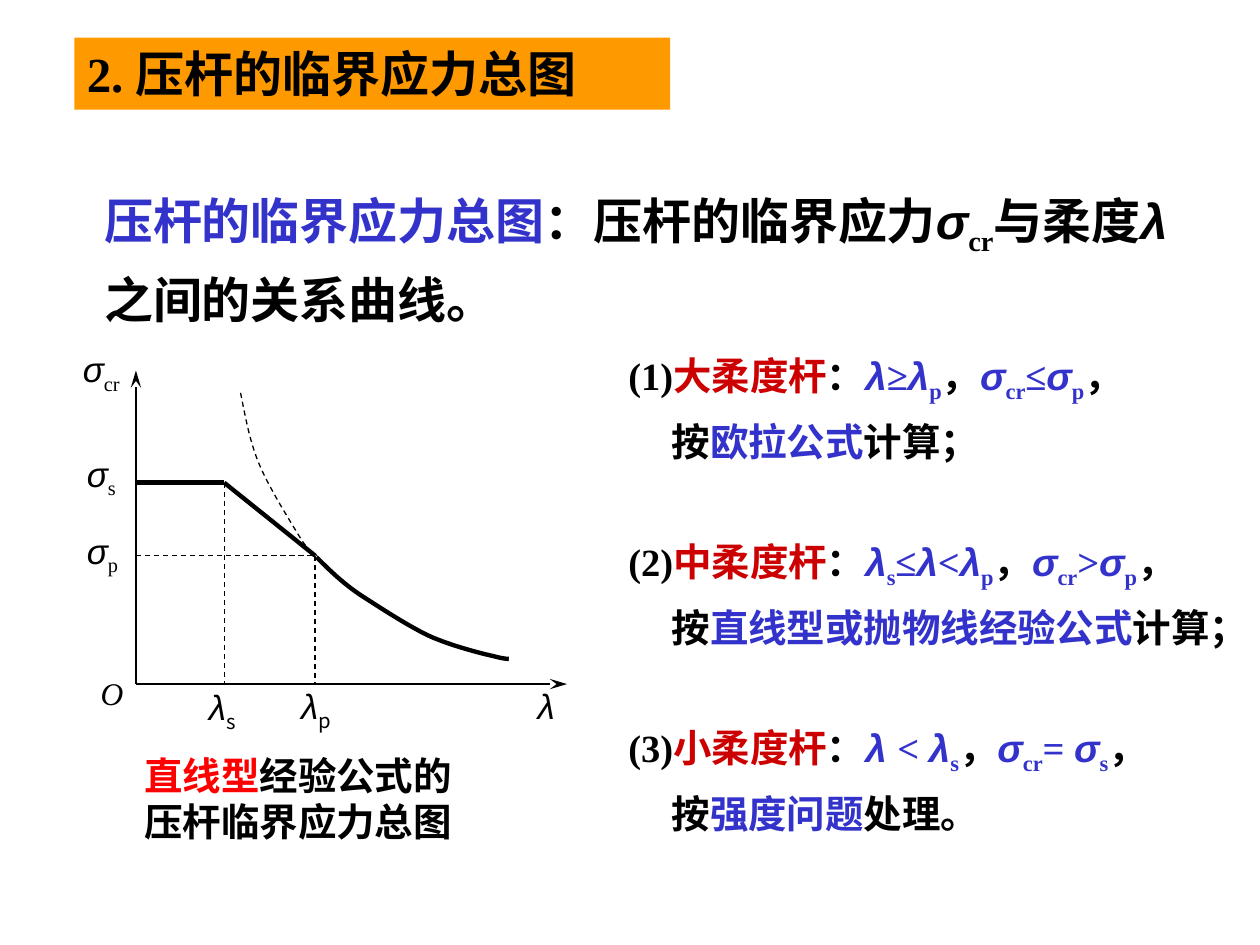
from lxml.etree import SubElement
from pptx import Presentation
from pptx.dml.color import RGBColor
from pptx.enum.dml import MSO_LINE
from pptx.enum.shapes import MSO_CONNECTOR, MSO_SHAPE
from pptx.enum.text import MSO_ANCHOR, MSO_AUTO_SIZE, PP_ALIGN
from pptx.oxml.ns import qn
from pptx.util import Cm, Pt

BLACK = RGBColor(0, 0, 0)
WHITE = RGBColor(255, 255, 255)
ORANGE = RGBColor(0xFF, 0x99, 0x00)
BLUE = RGBColor(0x33, 0x33, 0xCC)
RED = RGBColor(0xFF, 0, 0)
DARK_RED = RGBColor(0xCC, 0, 0)
SERIF, SANS, CJK = "Times New Roman", "Arial", "Noto Sans CJK SC"


def write(para, text, size=22, color=BLACK, bold=True, italic=False, font=SERIF, base=0):
    """Add a run; base is the offset from the baseline in percent."""
    run = para.add_run()
    run.text = text
    face = run.font
    face.size, face.bold, face.italic, face.name = Pt(size), bold, italic, font
    face.color.rgb = color
    props = run._r.get_or_add_rPr()
    SubElement(props, qn("a:ea")).set("typeface", CJK)
    if base:
        props.set("baseline", str(base * 1000))


def term(greek, sub="", after="", font=SERIF, color=BLUE):
    """Runs for a Greek symbol, its subscript and the sign that follows."""
    runs = [(greek, dict(font=SANS, italic=True, color=color))]
    if sub:
        runs.append((sub, dict(base=-25, font=font, color=color)))
    if after:
        runs.append((after, dict(color=color)))
    return runs


def trace(start, *curves, steps=10):
    """Points along a chain of cubic Bezier curves."""
    points = [start]
    for a, b, end in curves:
        for i in range(1, steps + 1):
            t = i / steps
            u = 1 - t
            points.append(tuple(
                u**3 * p + 3 * u * u * t * q + 3 * u * t * t * r + t**3 * s
                for p, q, r, s in zip(start, a, b, end)))
        start = end
    return points


class Page:
    thin, thick = 0.75, 2.5

    def __init__(self, deck):
        self.shapes = deck.slides.add_slide(deck.slide_layouts[6]).shapes

    def fill(self, frame, paras, align, space, grow, **style):
        frame.word_wrap = True
        frame.vertical_anchor = MSO_ANCHOR.TOP
        if grow:
            frame.auto_size = MSO_AUTO_SIZE.SHAPE_TO_FIT_TEXT
        for i, runs in enumerate(paras):
            para = frame.add_paragraph() if i else frame.paragraphs[0]
            para.alignment, para.line_spacing = align, space
            for text, form in runs:
                write(para, text, **{**style, **form})

    def text(self, x, y, w, h, paras, align=PP_ALIGN.LEFT, space=1.0, grow=True, **style):
        box = self.shapes.add_textbox(Cm(x), Cm(y), Cm(w), Cm(h))
        self.fill(box.text_frame, paras, align, space, grow, **style)
        return box.text_frame

    def rect(self, x, y, w, h, color, turn=0):
        box = self.shapes.add_shape(MSO_SHAPE.RECTANGLE, Cm(x), Cm(y), Cm(w), Cm(h))
        box.shadow.inherit = False
        box.fill.solid()
        box.fill.fore_color.rgb = color
        box.line.fill.background()
        box.rotation = turn
        return box

    def stroke(self, line, width, dash):
        line.color.rgb, line.width = BLACK, Pt(width)
        if dash:
            line.dash_style = MSO_LINE.DASH

    def line(self, x1, y1, x2, y2, width=thin, dash=False, arrow=False):
        link = self.shapes.add_connector(
            MSO_CONNECTOR.STRAIGHT, Cm(x1), Cm(y1), Cm(x2), Cm(y2))
        self.stroke(link.line, width, dash)
        if arrow:
            tail = SubElement(link.line._get_or_add_ln(), qn("a:tailEnd"))
            for key, value in dict(type="stealth", w="med", len="lg").items():
                tail.set(key, value)
        SubElement(link._element.spPr, qn("a:effectLst"))

    def curve(self, points, width=thin, dash=False):
        points = [(Cm(x), Cm(y)) for x, y in points]
        path = self.shapes.build_freeform(*points[0])
        path.add_line_segments(points[1:], close=False)
        shape = path.convert_to_shape()
        shape.shadow.inherit = False
        shape.fill.background()
        self.stroke(shape.line, width, dash)


def draw_graph(page):
    left, base = 2.74, 13.79
    xs, xp, ys, yp = 4.52, 6.35, 9.73, 11.2
    page.line(left, base, 11.43, base, arrow=True)
    page.line(left, base, left, 7.47, arrow=True)
    page.line(left, yp, xp, yp, dash=True)
    page.curve(trace(
        (4.85, 7.92),
        ((4.95, 8.41), (5.03, 8.89), (5.23, 9.37)),
        ((5.44, 9.86), (5.87, 10.54), (6.07, 10.87)),
        ((6.27, 11.18), (6.4, 11.2), (6.5, 11.25))), dash=True)
    page.rect(6.4, 11.07, 0.28, 0.25, WHITE, turn=3)
    page.curve(trace(
        (6.38, 11.23),
        ((6.63, 11.48), (6.88, 11.73), (7.26, 11.99)),
        ((7.65, 12.24), (8.15, 12.57), (8.61, 12.8)),
        ((9.04, 13), (9.65, 13.16), (9.96, 13.23)),
        ((10.26, 13.31), (10.34, 13.28), (10.41, 13.26))), width=page.thick)
    page.rect(10.26, 13.16, 0.28, 0.25, WHITE, turn=3)
    page.line(xp, yp, xp, base, dash=True)
    page.line(xp, yp, xs, ys, width=page.thick)
    page.line(left, ys, xs, ys, width=page.thick)
    page.line(xs, ys, xs, base, dash=True)

    labels = [
        (1.42, 6.88, 1.83, 1.09, "σ", "cr", SERIF),
        (1.5, 8.99, 1.78, 1.57, "σ", "s", SERIF),
        (1.5, 10.54, 2.01, 1.7, "σ", "p", SERIF),
        (3.96, 13.69, 1.83, 1.09, "λ", "s", CJK),
        (5.82, 13.67, 1.83, 1.09, "λ", "p", CJK),
        (10.59, 13.67, 1.37, 1.09, "λ", "", SERIF),
    ]
    for x, y, w, h, greek, sub, font in labels:
        page.text(x, y, w, h, [term(greek, sub, font=font, color=BLACK)],
                  align=PP_ALIGN.JUSTIFY, grow=False, size=20, bold=False)
    page.text(1.78, 13.46, 1.37, 1.09, [[("O", {})]], align=PP_ALIGN.JUSTIFY,
              grow=False, size=18, bold=False, italic=True)


def list_cases(page):
    comma = [("，", {})]
    cases = [
        ("大柔度杆", term("λ", after="≥") + term("λ", "p"),
         term("σ", "cr", "≤") + term("σ", "p"), "欧拉公式", "计算；"),
        ("中柔度杆", term("λ", "s", "≤") + term("λ", after="<") + term("λ", "p"),
         term("σ", "cr", ">") + term("σ", "p"), "直线型或抛物线经验公式", "计算；"),
        ("小柔度杆", term("λ ", after="< ") + term("λ", "s"),
         term("σ", "cr", "= ") + term("σ", "s"), "强度问题", "处理。"),
    ]
    paras = []
    for i, (name, range_, stress, rule, end) in enumerate(cases, 1):
        head = [(f"({i})", {}), (name, dict(color=DARK_RED)), ("：", {})]
        paras.append(head + range_ + comma + stress + comma)
        paras.append([("按", {}), (rule, dict(color=BLUE)), (end, {})])
    frame = page.text(12.42, 6.65, 14.1, 10.44, paras, space=1.3)
    for para in frame.paragraphs[1::2]:
        para._p.get_or_add_pPr().set("marL", str(Cm(0.87)))
    for para in frame.paragraphs[2::2]:
        para.space_before = Pt(33)


def main():
    deck = Presentation()
    deck.slide_width, deck.slide_height = Cm(25.4), Cm(19.05)
    page = Page(deck)
    title = page.rect(1.5, 0.76, 12.01, 1.45, ORANGE)
    page.fill(title.text_frame, [[("2. 压杆的临界应力总图", {})]],
              PP_ALIGN.LEFT, 1.0, True, size=28)
    page.text(1.85, 3.45, 22.12, 3.3, [
        [("压杆的临界应力总图", dict(color=BLUE)), ("：压杆的临界应力", {})]
        + term("σ", "cr", color=BLACK) + [("与柔度", {})]
        + term("λ", color=BLACK) + [("之间的关系曲线。", {})]], space=1.2, size=28)
    page.text(1.3, 15.04, 9.42, 2.13, [
        [("直线型", dict(color=RED)), ("经验公式的", {})],
        [("压杆临界应力总图", {})]], align=PP_ALIGN.CENTER)
    draw_graph(page)
    list_cases(page)
    deck.save("out.pptx")


if __name__ == "__main__":
    main()
